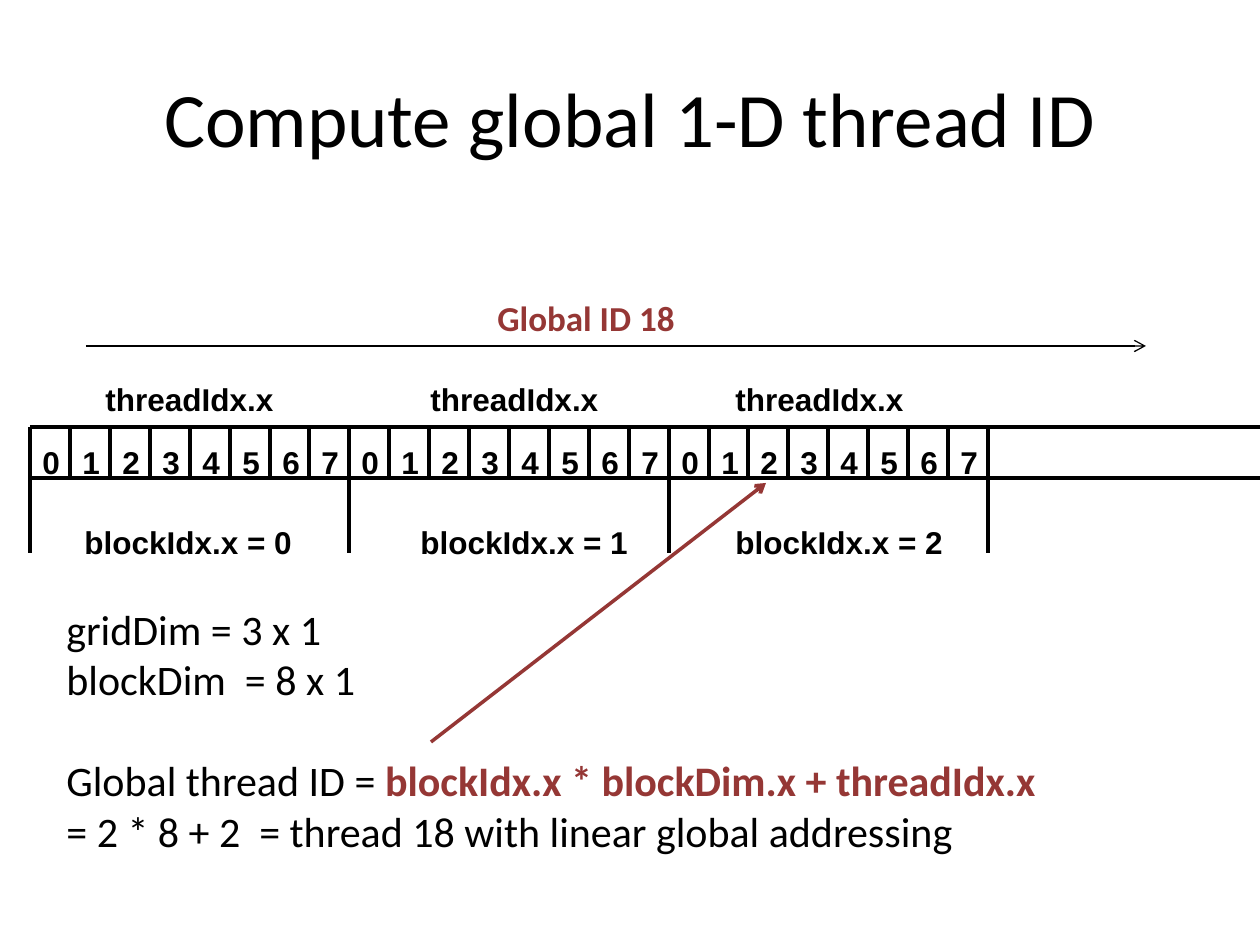
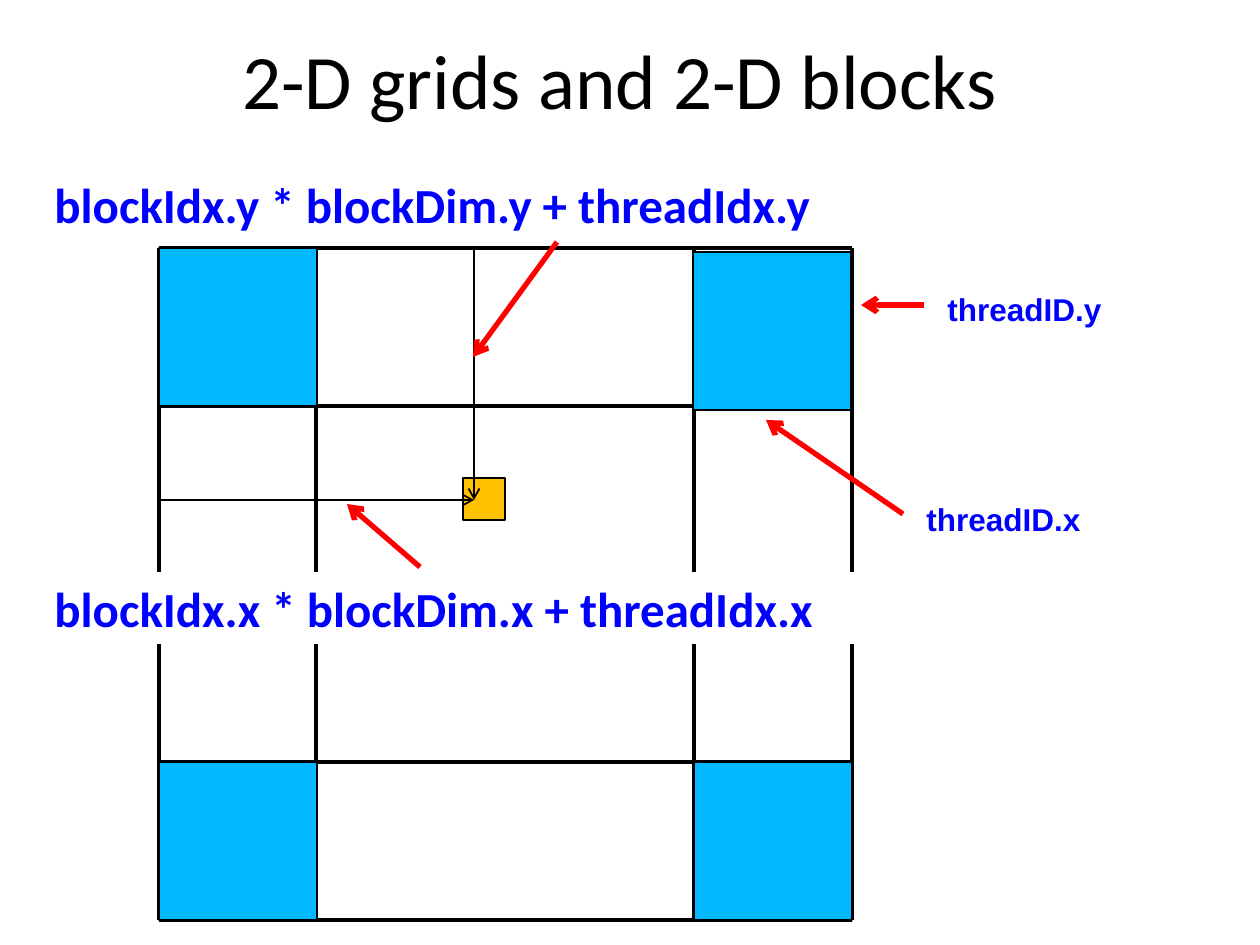
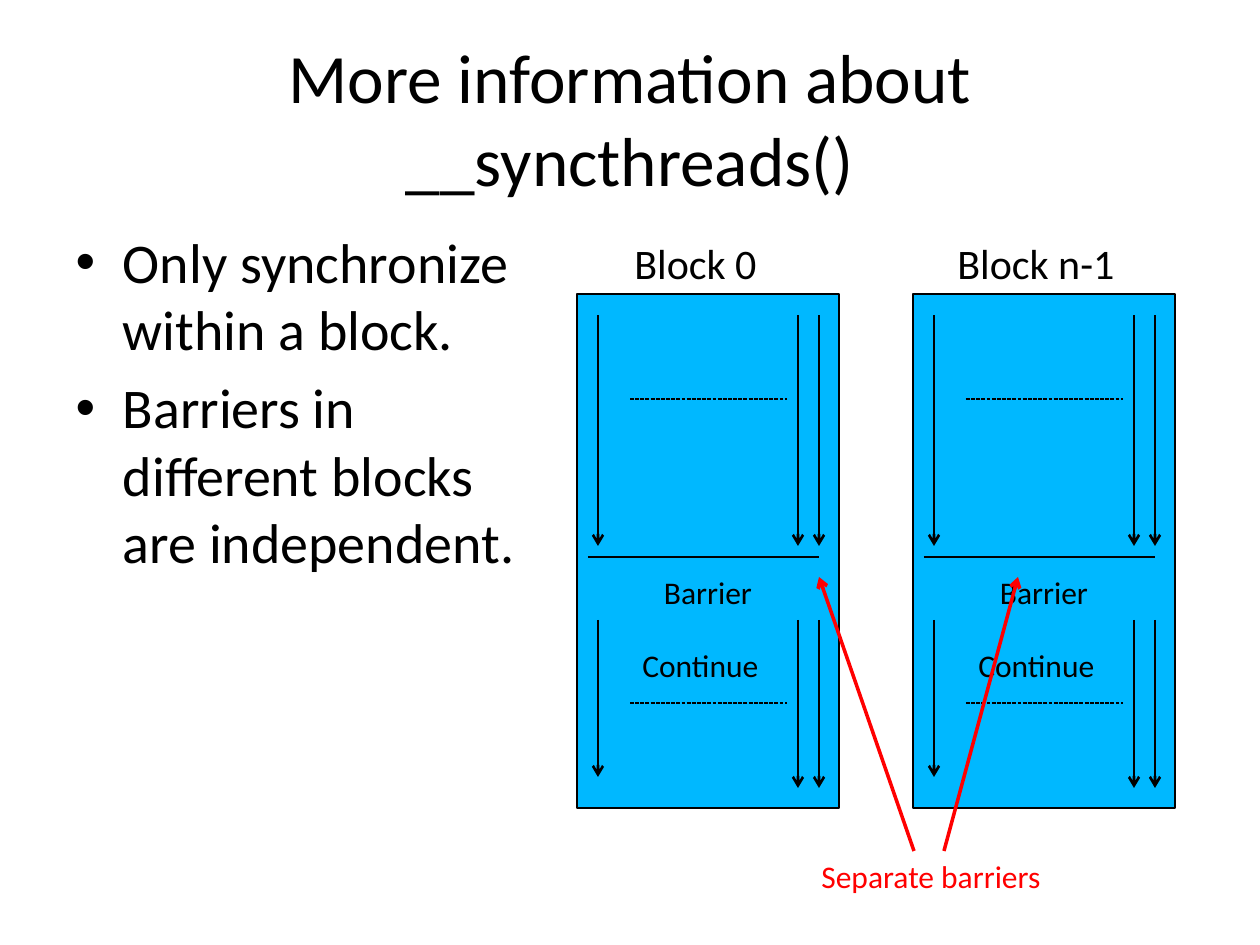
from pptx import Presentation
from pptx import util as u
from pptx.dml.color import RGBColor
from pptx.enum import dml, shapes, text
from pptx.oxml import ns
from lxml import etree

PX = 914400 / 126  # EMU in one pixel

COLORS = {
    "ink": "000000",
    "paper": "FFFFFF",
    "brick": "953735",
    "red": "FF0000",
    "blue": "0000FF",
    "sky": "00B8FF",
    "amber": "FFC000",
}

# Shared text formats
TITLE = {"name": "Calibri", "size": 44, "color": "ink"}
BODY = {"name": "Calibri", "size": 32, "color": "ink"}
CODE = {"name": "Arial", "size": 18, "bold": True, "color": "ink"}
NOTE = {"name": "Calibri", "size": 24, "color": "ink"}
SMALL = {"name": "Calibri", "size": 18, "color": "ink"}
FORMULA = {"name": "Calibri", "size": 28, "bold": True, "color": "blue"}


def emu(*lengths):
    return [u.Emu(round(n * PX)) for n in lengths]


def rgb(name):
    return RGBColor.from_string(COLORS[name])


def place(sp, box):
    for key, val in zip(("left", "top", "width", "height"), emu(*box)):
        setattr(sp, key, val)


def add_run(p, words, fmt):
    r = p.add_run()
    r.text = words
    for key, val in fmt.items():
        if key == "color":
            r.font.color.rgb = rgb(val)
        else:
            setattr(r.font, key, u.Pt(val) if key == "size" else val)


def add_title(slide, words, left=63, top=38, size=44):
    sp = slide.shapes.title
    place(sp, (left, top, 1134, 158))
    tf = sp.text_frame
    tf.auto_size = text.MSO_AUTO_SIZE.NONE
    tf.vertical_anchor = text.MSO_ANCHOR.MIDDLE
    p = tf.paragraphs[0]
    p.alignment = text.PP_ALIGN.CENTER
    add_run(p, words, {**TITLE, "size": size})


def add_bullets(sp, box, items):
    place(sp, box)
    tf = sp.text_frame
    tf.auto_size = text.MSO_AUTO_SIZE.NONE
    for i, item in enumerate(items):
        p = tf.add_paragraph() if i else tf.paragraphs[0]
        add_run(p, item, BODY)


def add_text(parent, box, paras, fmt, wrap=False, align="LEFT", fill=None):
    """Each paragraph is a string or a list of (words, format) runs."""
    sp = parent.add_textbox(*emu(*box))
    if fill:
        sp.fill.solid()
        sp.fill.fore_color.rgb = rgb(fill)
    tf = sp.text_frame
    tf.word_wrap = wrap
    tf.auto_size = text.MSO_AUTO_SIZE.SHAPE_TO_FIT_TEXT
    for i, para in enumerate([paras] if isinstance(paras, str) else paras):
        p = tf.add_paragraph() if i else tf.paragraphs[0]
        p.alignment = text.PP_ALIGN[align]
        for words, run_fmt in [(para, fmt)] if isinstance(para, str) else para:
            add_run(p, words, run_fmt)
    return tf


def add_rect(parent, box, fill):
    sp = parent.add_shape(shapes.MSO_SHAPE.RECTANGLE, *emu(*box))
    sp.shadow.inherit = False
    sp.fill.solid()
    sp.fill.fore_color.rgb = rgb(fill)
    sp.line.color.rgb = rgb("ink")
    sp.line.width = u.Pt(0.75)


def add_line(parent, ends, width, color="ink", arrow=False, dashed=False):
    cx = parent.add_connector(shapes.MSO_CONNECTOR.STRAIGHT, *emu(*ends))
    cx.line.color.rgb = rgb(color)
    cx.line.width = u.Pt(width)
    if dashed:
        cx.line.dash_style = dml.MSO_LINE.SQUARE_DOT
    sp_pr = cx.element.spPr
    if arrow:
        ln = sp_pr.find(ns.qn("a:ln"))
        etree.SubElement(ln, ns.qn("a:tailEnd"), type="arrow")
    etree.SubElement(sp_pr, ns.qn("a:effectLst"))


def build_thread_row(slide):
    add_title(slide, "Compute global 1-D thread ID")
    parent = slide.shapes
    left, right, top, bottom = 30, 988, 427, 478
    blocks, threads = 3, 8
    cells = blocks * threads

    # Row of threads, with longer lines between blocks
    for y in (top, bottom):
        add_line(parent, (left, y, 1307, y), 2)
    for i in range(cells + 1):
        x = round(left + (right - left) * i / cells)
        add_line(parent, (x, top, x, bottom if i % threads else 553), 2)
        if i < cells:
            add_text(parent, (x, 437, 41, 44), str(i % threads), CODE)

    # Labels above and below each block
    for x in (93, 418, 723):
        add_text(parent, (x, 374, 195, 45), "threadIdx.x", CODE)
    for i, x in enumerate((72, 408, 723)):
        add_text(parent, (x, 517, 234, 45), f"blockIdx.x = {i}", CODE)

    # Worked example
    strong = {**NOTE, "bold": True, "color": "brick"}
    add_line(parent, (431, 742, 766, 483), 2, "brick", arrow=True)
    tf = add_text(parent, (54, 597, 1134, 267), [
        "gridDim = 3 x 1",
        "blockDim  = 8 x 1",
        [("Global thread ID = ", NOTE),
         ("blockIdx.x * blockDim.x + threadIdx.x ", strong)],
        "= 2 * 8 + 2  = thread 18 with linear global addressing",
    ], NOTE, wrap=True)
    tf.paragraphs[2].space_before = u.Pt(29)

    # Global index axis
    add_line(parent, (86, 346, 1146, 346), 0.75, arrow=True)
    add_text(parent, (485, 290, 204, 55), "Global ID 18", {**strong, "size": 20})


def build_grid(slide):
    add_title(slide, "2-D grids and 2-D blocks", left=53, top=0)
    parent = slide.shapes
    xs, ys = (159, 316, 694, 852), (248, 406, 762, 920)

    # Grid of blocks, corners filled
    for y in ys:
        add_line(parent, (xs[0], y, xs[-1], y), 2)
    for x in xs:
        add_line(parent, (x, ys[0], x, ys[-1]), 2)
    for x, y in ((159, 248), (694, 762), (693, 252), (159, 762)):
        add_rect(parent, (x, y, 158, 158), "sky")

    # Thread labels and the chosen thread
    label = {**CODE, "color": "blue"}
    add_text(parent, (914, 494, 181, 45), "threadID.x", label)
    add_text(parent, (935, 284, 193, 45), "threadID.y", label, wrap=True)
    add_rect(parent, (463, 478, 42, 42), "amber")
    for ends in ((159, 500, 474, 500), (474, 248, 474, 500)):
        add_line(parent, ends, 1, arrow=True)

    # Index formulas and pointers
    for axis, y, height in (("y", 168, 64), ("x", 572, 72)):
        words = f"blockIdx.{axis} * blockDim.{axis} + threadIdx.{axis} "
        add_text(parent, (42, y, 903, height), words, FORMULA,
                 wrap=True, fill="paper")
    for ends in ((557, 242, 473, 357), (420, 567, 347, 504),
                 (924, 305, 861, 305), (903, 514, 766, 420)):
        add_line(parent, ends, 3, "red", arrow=True)


def add_block(slide, left, name, name_offset, name_width):
    parent = slide.shapes.add_group_shape().shapes
    add_rect(parent, (left, 294, 262, 514), "sky")

    # Threads before and after the barrier
    for dx, end in ((21, 777), (221, 788), (242, 788)):
        for y1, y2 in ((315, 546), (620, end)):
            add_line(parent, (left + dx, y1, left + dx, y2), 1.5, arrow=True)
    for y in (399, 703):
        add_line(parent, (left + 53, y, left + 210, y), 0.75, dashed=True)

    # Barrier and labels
    add_line(parent, (left + 11, 557, left + 242, 557), 0.75)
    add_text(parent, (left, 567, 262, 50), "Barrier", SMALL,
             wrap=True, align="CENTER")
    add_text(parent, (left + name_offset, 231, name_width, 63), name, NOTE)
    add_text(parent, (left + 53, 640, 152, 50), "Continue", SMALL)


def build_barriers(slide):
    add_title(slide, "More information about __syncthreads()", size=39.6)
    add_bullets(slide.placeholders[1], (63, 221, 472, 624), [
        "Only synchronize within a block.",
        "Barriers in different blocks are independent.",
    ])
    add_block(slide, 577, "Block 0", 45, 165)
    add_block(slide, 913, "Block n-1", 32, 203)

    # Pointers to both barriers
    for ends in ((914, 851, 819, 577), (944, 851, 1018, 577)):
        add_line(slide.shapes, ends, 2, "red", arrow=True)
    add_text(slide.shapes, (809, 851, 271, 50), "Separate barriers",
             {**SMALL, "color": "red"})


def main():
    prs = Presentation()
    prs.slide_width, prs.slide_height = emu(1260, 945)
    content, title_only = prs.slide_layouts[1], prs.slide_layouts[5]
    for layout, build in ((title_only, build_thread_row),
                          (title_only, build_grid),
                          (content, build_barriers)):
        build(prs.slides.add_slide(layout))
    prs.save("out.pptx")


main()
